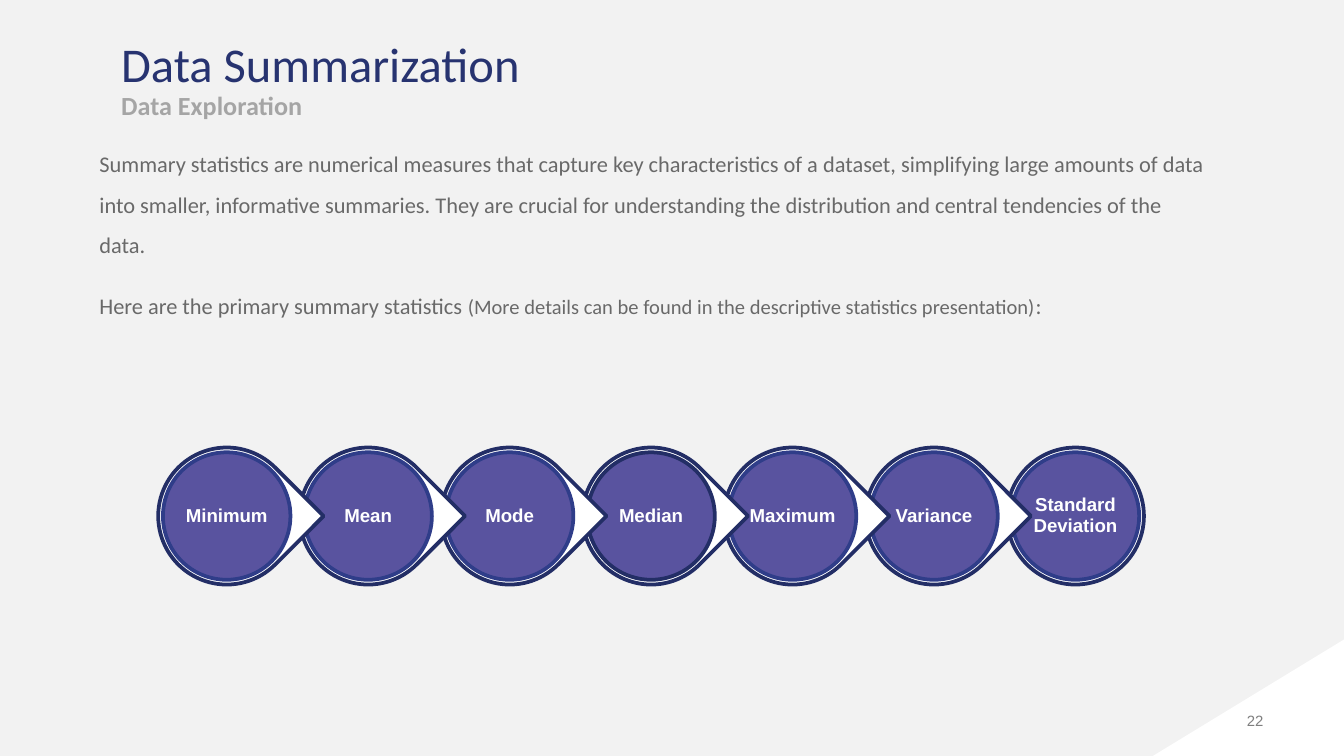
from pptx import Presentation
from pptx.dml.color import RGBColor
from pptx.enum.shapes import MSO_SHAPE as Preset
from pptx.enum.text import MSO_ANCHOR as Anchor, PP_ALIGN as Align
from pptx.util import Cm, Pt

COLORS = {
    "background": "F2F2F2",
    "white": "FFFFFF",
    "title": "273370",
    "subtitle": "A5A5A5",
    "body": "696969",
    "number": "7F7F7F",
    "disc": "59539F",
    "rim": "2F3D89",
    "outline": "232E66",
}
STATISTICS = ["Minimum", "Mean", "Mode", "Median", "Maximum", "Variance", "Standard Deviation"]
HIGHLIGHT = "Median"
SUMMARY = [
    [("Summary statistics are numerical measures that capture key characteristics of a dataset, "
      "simplifying large amounts of data into smaller, informative summaries. They are crucial for "
      "understanding the distribution and central tendencies of the data.", 12)],
    [("Here are the primary summary statistics ", 12),
     ("(More details can be found in the descriptive statistics presentation)", 11),
     (":", 12)],
]


def color(name):
    return RGBColor.from_string(COLORS[name])


def apply(target, formats):
    for attribute, value in formats.items():
        setattr(target, attribute, value)


def add_run(paragraph, words, size, font, tint, bold=False):
    run = paragraph.add_run()
    run.text = words
    apply(run.font, {"size": Pt(size), "name": font, "bold": bold})
    run.font.color.rgb = color(tint)


def add_frame(slide, box, anchor=Anchor.TOP, inset=0):
    frame = slide.shapes.add_textbox(*map(Cm, box)).text_frame
    margins = dict.fromkeys(["margin_left", "margin_top", "margin_right", "margin_bottom"], Cm(inset))
    apply(frame, {"word_wrap": True, "vertical_anchor": anchor, **margins})
    return frame


def add_figure(slide, preset, box, fill, line=None):
    figure = slide.shapes.add_shape(preset, *map(Cm, box))
    figure.shadow.inherit = False
    figure.fill.solid()
    figure.fill.fore_color.rgb = color(fill)
    if line:
        figure.line.color.rgb = color(line)
        figure.line.width = Pt(2)
    else:
        figure.line.fill.background()
    return figure


def centered(box, size):
    left, top, width, height = box
    return left + (width - size) / 2, top + (height - size) / 2, size, size


def draw_corner(slide, box):
    left, top, width, height = box
    corner = add_figure(slide, Preset.RIGHT_TRIANGLE, box, "white")
    corner._element.spPr.xfrm.set("flipH", "1")
    number_box = (left + 1.3, top + 1.37, 0.79, 0.33)
    number = add_frame(slide, number_box, Anchor.BOTTOM).paragraphs[0]
    number.alignment = Align.RIGHT
    add_run(number, "22", 8, "Arial", "number")


def draw_heading(slide, box):
    heading = add_frame(slide, box).paragraphs[0]
    heading.line_spacing = 0.9
    add_run(heading, "Data Summarization", 26, "Calibri", "title")
    heading.add_line_break()
    add_run(heading, "Data Exploration", 14, "Calibri", "subtitle", True)


def draw_summary(slide, box):
    frame = add_frame(slide, box)
    for index, pieces in enumerate(SUMMARY):
        paragraph = frame.add_paragraph() if index else frame.paragraphs[0]
        apply(paragraph, {"line_spacing": 1.5, "space_before": Pt(5), "space_after": Pt(6)})
        for words, size in pieces:
            add_run(paragraph, words, size, "Calibri", "body")


def draw_link(slide, box, statistic, is_last):
    ring = add_figure(slide, Preset.OVAL if is_last else Preset.TEAR, box, "white", "outline")
    ring.rotation = 0 if is_last else 45
    rim = "outline" if statistic == HIGHLIGHT else "rim"
    add_figure(slide, Preset.OVAL, centered(box, 2.41), "disc", rim)
    label = add_frame(slide, centered(box, 1.73), Anchor.MIDDLE, 0.03).paragraphs[0]
    apply(label, {"alignment": Align.CENTER, "line_spacing": 0.9})
    add_run(label, statistic, 10, "Arial", "white", True)


def draw_chain(slide, box):
    left, top, width, diameter = box
    last = len(STATISTICS) - 1
    pitch = (width - diameter) / last
    for index, statistic in reversed(list(enumerate(STATISTICS))):
        link_box = (left + index * pitch, top, diameter, diameter)
        draw_link(slide, link_box, statistic, index == last)


def main():
    deck = Presentation()
    apply(deck, {"slide_width": Cm(25.4), "slide_height": Cm(14.29)})
    slide = deck.slides.add_slide(deck.slide_layouts[6])
    slide.background.fill.solid()
    slide.background.fill.fore_color.rgb = color("background")
    draw_corner(slide, (21.79, 12.09, 3.61, 2.2))
    draw_heading(slide, (2.29, 0.76, 20.7, 1.83))
    draw_summary(slide, (1.88, 2.59, 20.96, 3.91))
    draw_chain(slide, (2.99, 8.46, 18.63, 2.59))
    deck.save("out.pptx")


if __name__ == "__main__":
    main()
